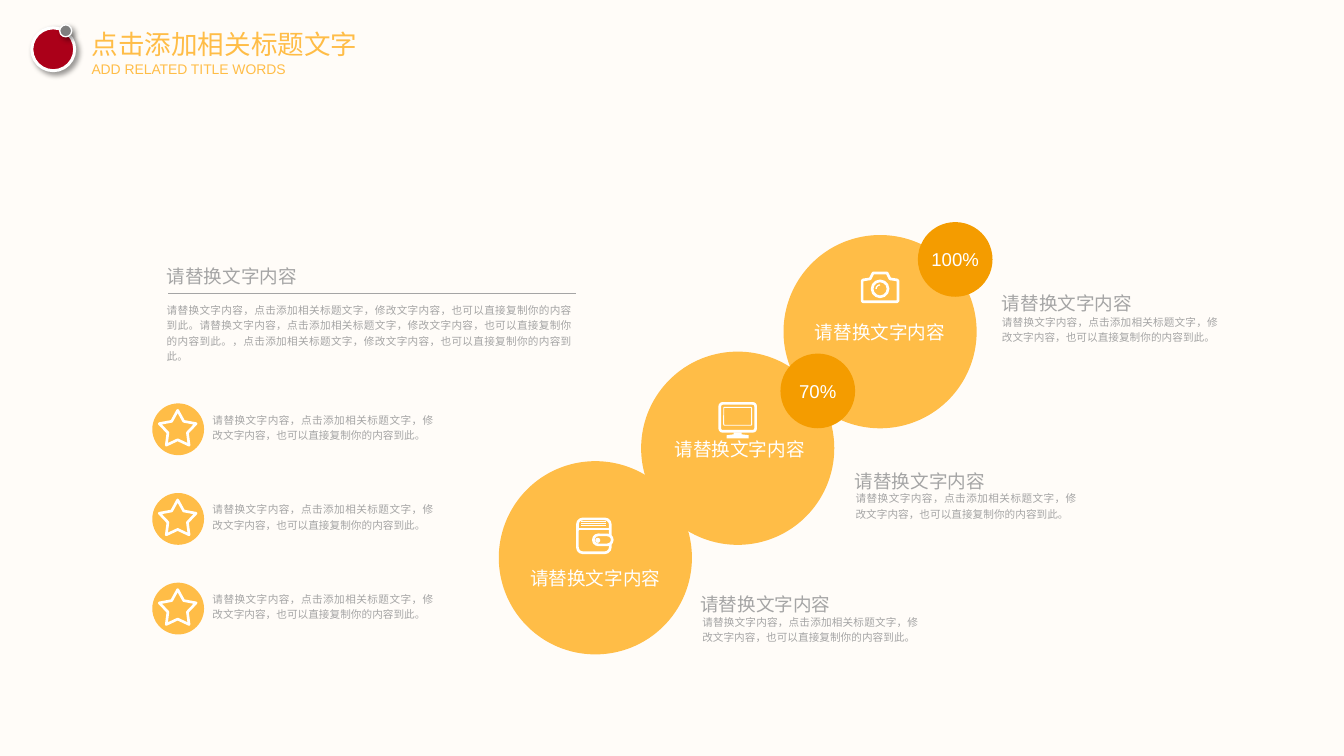
from dataclasses import dataclass

import pptx
import pptx.dml.color
import pptx.enum.shapes
import pptx.enum.text
import pptx.oxml
import pptx.oxml.ns
import pptx.util

EMU_PER_PX = 9525
FONT = "Arial"
WHITE, AMBER, ORANGE, GRAY = "FFFFFF", "FFBD47", "F49C00", "A5A5A5"
KIND = pptx.enum.shapes.MSO_SHAPE
ALIGN = pptx.enum.text.PP_ALIGN
HEADING = "请替换文字内容"
SENTENCE = "点击添加相关标题文字，修改文字内容，也可以直接复制你的内容到此。"
BLURB = f"{HEADING}，{SENTENCE}"


@dataclass
class Part:
    """A preset shape of an icon, placed from the icon's corner."""
    kind: KIND
    box: tuple[int, int, int, int]
    weight: float = 2
    fill: str = ""
    corner: float | None = None
    rotation: int = 0


@dataclass
class Outline:
    """A straight-edged shape of an icon; two points make an open line."""
    points: list[tuple[int, int]]
    weight: float = 2
    fill: str = ""


@dataclass
class Step:
    circle: tuple[int, int]
    icon_at: tuple[int, int]
    icon: list[Part | Outline]
    label: tuple[int, int]
    note_heading: tuple[int, int]
    note: tuple[int, int, int, int]


def px(length: float) -> int:
    return pptx.util.Emu(round(length * EMU_PER_PX))


def rgb(color: str) -> pptx.dml.color.RGBColor:
    return pptx.dml.color.RGBColor.from_string(color)


def paint(shape, fill: str = "", line: str = "", weight: float = 0) -> None:
    shape.shadow.inherit = False
    if fill:
        shape.fill.solid()
        shape.fill.fore_color.rgb = rgb(fill)
    else:
        shape.fill.background()
    if weight:
        shape.line.color.rgb = rgb(line)
        shape.line.width = pptx.util.Pt(weight)
        shape.line._get_or_add_ln().append(
            pptx.oxml.parse_xml(f'<a:round {pptx.oxml.ns.nsdecls("a")}/>'))
    else:
        shape.line.fill.background()


def add_preset(shapes, kind: KIND, left: int, top: int, width: int, height: int,
               fill: str = "", line: str = "", weight: float = 0):
    shape = shapes.add_shape(kind, px(left), px(top), px(width), px(height))
    paint(shape, fill, line, weight)
    return shape


def add_rule(shapes, start: tuple[int, int], end: tuple[int, int],
             color: str, weight: float) -> None:
    rule = shapes.add_connector(pptx.enum.shapes.MSO_CONNECTOR.STRAIGHT,
                                *(px(value) for value in start + end))
    rule.line.color.rgb = rgb(color)
    rule.line.width = pptx.util.Pt(weight)
    rule._element.spPr.append(
        pptx.oxml.parse_xml(f'<a:effectLst {pptx.oxml.ns.nsdecls("a")}/>'))


def write(frame, text: str, size: float, color: str, align: ALIGN = ALIGN.LEFT,
          spacing: float = 1.2, insets: tuple[float, float] = (9.6, 4.8)) -> None:
    frame.word_wrap = True
    frame.auto_size = pptx.enum.text.MSO_AUTO_SIZE.NONE
    frame.vertical_anchor = pptx.enum.text.MSO_ANCHOR.TOP
    frame.margin_left = frame.margin_right = px(insets[0])
    frame.margin_top = frame.margin_bottom = px(insets[1])
    paragraph = frame.paragraphs[0]
    paragraph.alignment = align
    paragraph.line_spacing = spacing
    run = paragraph.add_run()
    run.text = text
    run.font.name = FONT
    run.font.size = pptx.util.Pt(size)
    run.font.color.rgb = rgb(color)


def add_text(shapes, left: int, top: int, width: int, height: int, text: str,
             size: float, color: str, align: ALIGN = ALIGN.LEFT, **layout) -> None:
    box = shapes.add_textbox(px(left), px(top), px(width), px(height))
    write(box.text_frame, text, size, color, align, **layout)


def add_icon(shapes, left: int, top: int, icon: list[Part | Outline]) -> None:
    for item in icon:
        if isinstance(item, Part):
            x, y, width, height = item.box
            shape = add_preset(shapes, item.kind, left + x, top + y, width, height,
                               item.fill, WHITE, item.weight)
            shape.rotation = item.rotation
            if item.corner is not None:
                shape.adjustments[0] = item.corner
            continue
        points = [(left + x, top + y) for x, y in item.points]
        if len(points) == 2:
            add_rule(shapes, *points, WHITE, item.weight)
        else:
            builder = shapes.build_freeform(*points[0], scale=EMU_PER_PX)
            builder.add_line_segments(points[1:], close=True)
            paint(builder.convert_to_shape(), item.fill, WHITE, item.weight)


def add_shadow(shape) -> None:
    shape._element.spPr.find(pptx.oxml.ns.qn("a:effectLst")).append(pptx.oxml.parse_xml(
        f'<a:outerShdw {pptx.oxml.ns.nsdecls("a")} blurRad="50800" dist="38100" '
        'dir="2700000" algn="tl" rotWithShape="0"><a:srgbClr val="000000">'
        '<a:alpha val="40000"/></a:srgbClr></a:outerShdw>'))


# Icons
WALLET = [Part(KIND.ROUNDED_RECTANGLE, (1, 2, 33, 34)),
          Outline([(1, 12), (34, 12)]),
          *(Outline([(5, y), (30, y)], 0.75) for y in (5, 7, 9)),
          Part(KIND.ROUNDED_RECTANGLE, (17, 18, 19, 10), fill=AMBER, corner=0.5),
          Part(KIND.OVAL, (19, 21, 5, 5), 0, WHITE)]
MONITOR = [Part(KIND.ROUNDED_RECTANGLE, (1, 1, 36, 28), corner=0.1),
           Part(KIND.ROUNDED_RECTANGLE, (5, 5, 28, 18), 0.75, corner=0.05),
           Outline([(15, 30), (23, 30), (23, 32), (30, 33),
                    (30, 36), (8, 36), (8, 33), (15, 32)], 0, WHITE)]
CAMERA = [Outline([(1, 9), (2, 8), (9, 7), (12, 1), (26, 1), (29, 7),
                   (36, 8), (37, 9), (37, 29), (36, 30), (2, 30), (1, 29)]),
          Part(KIND.OVAL, (11, 9, 16, 16)),
          Part(KIND.ARC, (15, 13, 8, 8), 1, rotation=270)]

# Content, lowest step first
STEPS = [Step((501, 463), (579, 519), WALLET, (522, 560), (694, 586), (696, 611, 236, 40)),
         Step((644, 353), (722, 404), MONITOR, (667, 430), (849, 463), (850, 487, 241, 40)),
         Step((787, 236), (865, 273), CAMERA, (808, 313), (997, 284), (997, 310, 236, 40))]
BADGES = [("100%", 922, 223), ("70%", 784, 355)]
STEP_SIZE, BADGE_SIZE, BULLET_SIZE = 194, 75, 52
BULLET_COUNT, BULLET_TOP, BULLET_PITCH = 3, 405, 90


def main() -> None:
    presentation = pptx.Presentation()
    presentation.slide_width, presentation.slide_height = px(1350), px(759)
    slide = presentation.slides.add_slide(presentation.slide_layouts[5])
    slide.background.fill.solid()
    slide.background.fill.fore_color.rgb = rgb("FFFCF8")
    shapes = slide.shapes

    # Title and its ornament
    title = shapes.title
    title.left, title.top, title.width, title.height = px(92), px(28), px(269), px(33)
    write(title.text_frame, "点击添加相关标题文字", 20, AMBER, spacing=1.0, insets=(0, 0))
    add_text(shapes, 92, 61, 200, 17, "ADD RELATED TITLE WORDS", 10.5, AMBER,
             spacing=1.0, insets=(0, 0))
    for left, top, size, color, weight in ((32, 28, 43, "AB0019", 2.25),
                                           (60, 25, 12, "7F7F7F", 1)):
        add_shadow(add_preset(shapes, KIND.OVAL, left, top, size, size,
                              color, WHITE, weight))

    # Rising steps with their notes
    for step in STEPS:
        group = shapes.add_group_shape().shapes
        add_preset(group, KIND.OVAL, *step.circle, STEP_SIZE, STEP_SIZE, AMBER)
        add_icon(group, *step.icon_at, step.icon)
        add_text(group, *step.label, 152, 35, HEADING, 14, WHITE, ALIGN.CENTER)
        add_text(shapes, *step.note_heading, 152, 35, HEADING, 14, GRAY)
        add_text(shapes, *step.note, BLURB, 8, GRAY, ALIGN.JUSTIFY)

    # Percentage badges
    for percent, left, top in BADGES:
        group = shapes.add_group_shape().shapes
        add_preset(group, KIND.OVAL, left, top, BADGE_SIZE, BADGE_SIZE, ORANGE)
        add_text(group, left, top + 17, BADGE_SIZE, 35, percent, 14, WHITE, ALIGN.CENTER)

    # Introduction
    add_text(shapes, 158, 257, 180, 35, HEADING, 14, GRAY)
    add_rule(shapes, (169, 295), (579, 295), GRAY, 1)
    add_text(shapes, 158, 298, 426, 57, f"{BLURB}{BLURB}，{SENTENCE}", 8, GRAY, ALIGN.JUSTIFY)

    # Starred points
    for index in range(BULLET_COUNT):
        top = BULLET_TOP + index * BULLET_PITCH
        group = shapes.add_group_shape().shapes
        add_preset(group, KIND.OVAL, 153, top, BULLET_SIZE, BULLET_SIZE, AMBER)
        add_icon(group, 160, top + 7, [Part(KIND.STAR_5_POINT, (0, 0, 37, 35), corner=0.265)])
        add_text(shapes, 204, top + 3, 241, 40, BLURB, 8, GRAY, ALIGN.JUSTIFY)

    presentation.save("out.pptx")


if __name__ == "__main__":
    main()
